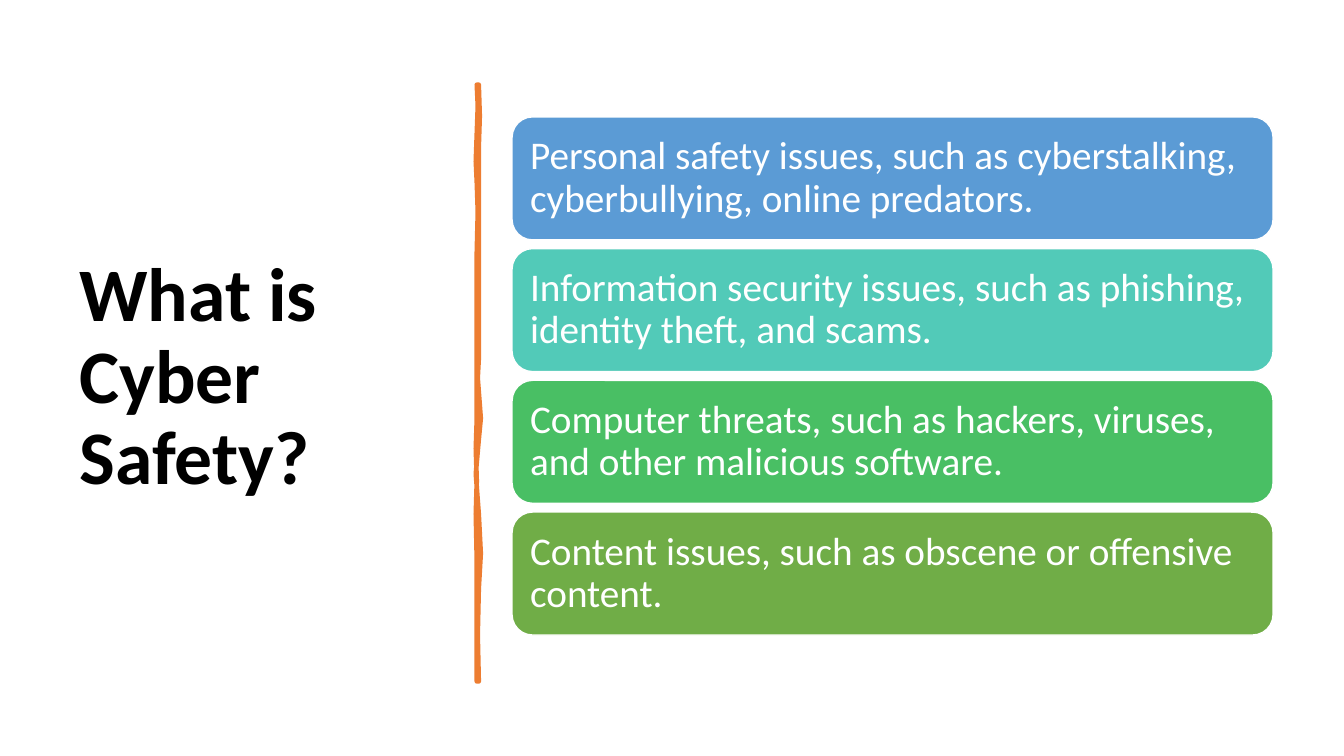
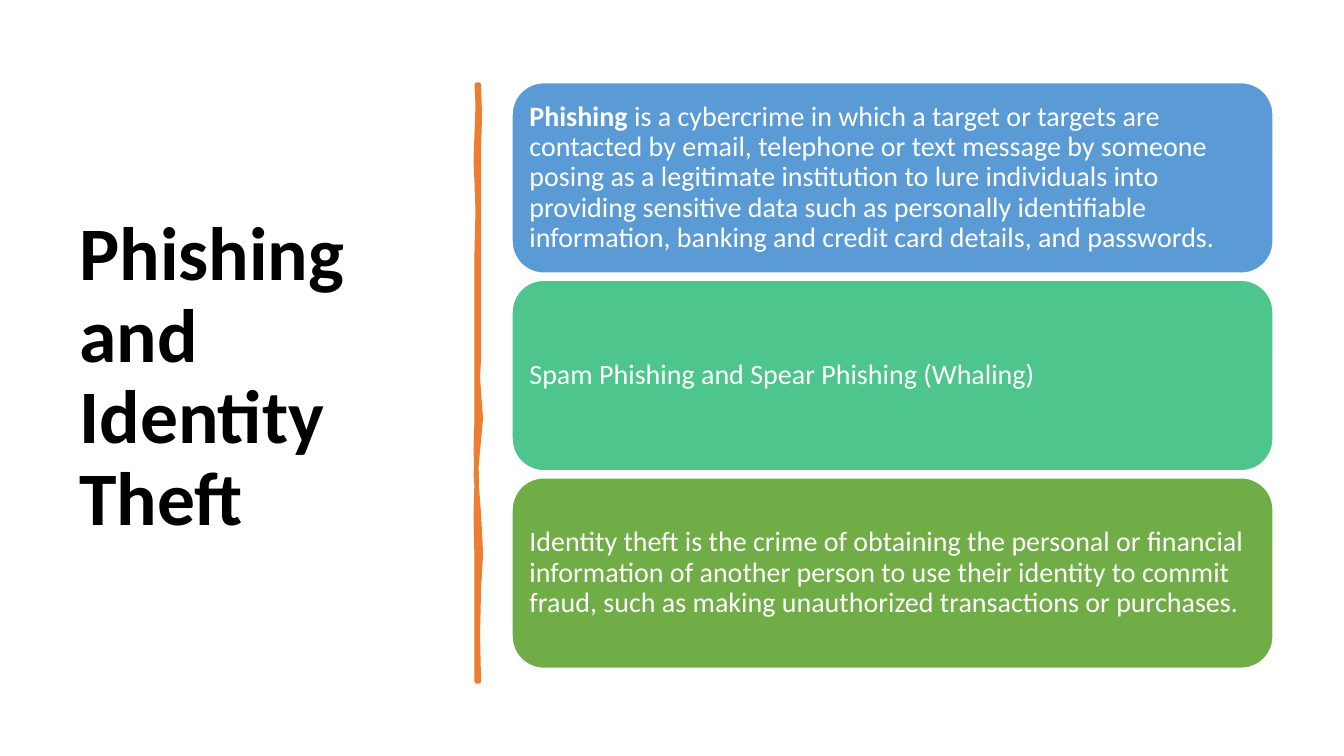
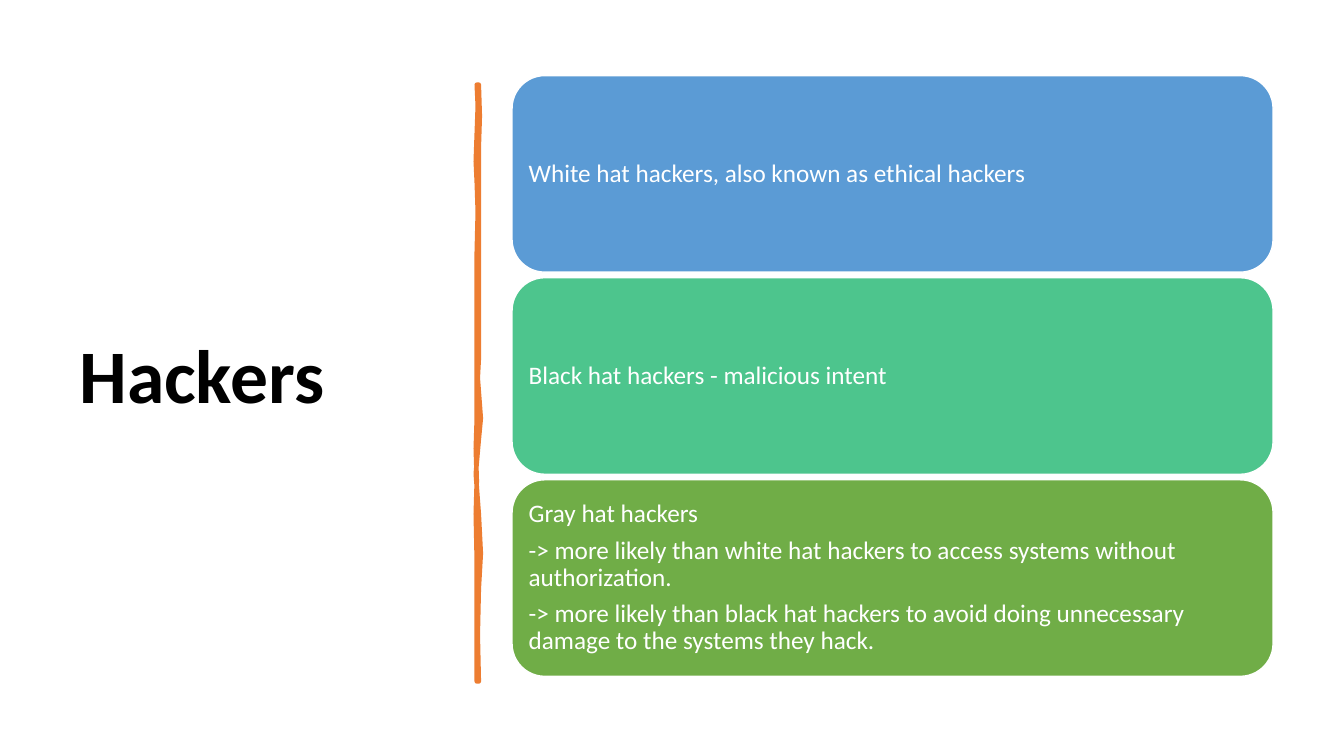
"""Build three cyber safety slides, each with a title, a divider and a stack of cards."""
from dataclasses import dataclass

from pptx import Presentation
from pptx import util as u
from pptx.dml.color import RGBColor
from pptx.enum import shapes, text

PX = 9144
FONT = "Calibri"
COLORS = {
    "title": "000000",
    "divider": "ED7D31",
    "white": "FFFFFF",
    "blue": "5B9BD5",
    "teal": "52CAB8",
    "green": "49BF64",
    "mint": "4DC58D",
    "olive": "70AD47",
}
CARD_LEFT, CARD_WIDTH = 508, 755
DIVIDER = [
    (475, 84), (476, 115), (475, 146), (475, 226), (475, 294), (475, 330),
    (475, 356), (474, 375), (477, 415), (475, 436), (472, 470), (475, 510),
    (477, 549), (475, 584), (474, 630), (475, 676),
    (473, 676), (473, 613), (473, 557), (472, 510), (473, 477), (472, 445),
    (473, 415), (473, 335), (473, 250), (474, 210), (473, 181), (472, 160),
    (474, 105), (473, 84),
]


@dataclass(frozen=True)
class Card:
    color: str
    paragraphs: tuple[str, ...]
    lead: str = ""


@dataclass(frozen=True)
class Page:
    title: str
    top: int
    bottom: int
    card_height: int
    inset: int
    size: int
    cards: tuple[Card, ...]


PAGES = (
    Page("What is Cyber Safety?", 116, 630, 122, 12, 28, (
        Card("blue", ("Personal safety issues, such as cyberstalking, cyberbullying, online predators.",)),
        Card("teal", ("Information security issues, such as phishing, identity theft, and scams.",)),
        Card("green", ("Computer threats, such as hackers, viruses, and other malicious software.",)),
        Card("olive", ("Content issues, such as obscene or offensive content.",)),
    )),
    Page("Phishing and Identity Theft", 82, 663, 189, 8, 20, (
        Card("blue", (
            " is a cybercrime in which a target or targets are contacted by email, telephone or text "
            "message by someone posing as a legitimate institution to lure individuals into providing "
            "sensitive data such as personally identifiable information, banking and credit card "
            "details, and passwords.",
        ), lead="Phishing"),
        Card("mint", ("Spam Phishing and Spear Phishing (Whaling)",)),
        Card("olive", (
            "Identity theft is the crime of obtaining the personal or financial information of another "
            "person to use their identity to commit fraud, such as making unauthorized transactions or "
            "purchases.",
        )),
    )),
    Page("Hackers", 75, 671, 195, 7, 18, (
        Card("blue", ("White hat hackers, also known as ethical hackers",)),
        Card("mint", ("Black hat hackers - malicious intent",)),
        Card("olive", (
            "Gray hat hackers",
            "-> more likely than white hat hackers to access systems without authorization.",
            "-> more likely than black hat hackers to avoid doing unnecessary damage to the systems they hack.",
        )),
    )),
)


def px(value: float) -> int:
    return round(value * PX)


def rgb(name: str) -> RGBColor:
    return RGBColor.from_string(COLORS[name])


def paint(sp, fill: str, line: str, width: float) -> None:
    sp.shadow.inherit = False
    sp.fill.solid()
    sp.fill.fore_color.rgb = rgb(fill)
    sp.line.color.rgb = rgb(line)
    sp.line.width = u.Pt(width)


def style(p, size: int, color: str) -> None:
    p.alignment = text.PP_ALIGN.LEFT
    p.line_spacing = 0.9
    p.font.name = FONT
    p.font.size = u.Pt(size)
    p.font.color.rgb = rgb(color)


def add_title(s, title: str) -> None:
    tf = s.shapes.add_textbox(px(69), px(70), px(374), px(611)).text_frame
    tf.word_wrap = True
    tf.vertical_anchor = text.MSO_ANCHOR.MIDDLE
    p = tf.paragraphs[0]
    p.text = title
    style(p, 54, "title")
    p.font.bold = True


def add_divider(s) -> None:
    builder = s.shapes.build_freeform(*DIVIDER[0], scale=PX)
    builder.add_line_segments(DIVIDER[1:], close=True)
    paint(builder.convert_to_shape(), "divider", "divider", 3.25)


def add_card(s, card: Card, top: float, page: Page) -> None:
    sp = s.shapes.add_shape(shapes.MSO_SHAPE.ROUNDED_RECTANGLE, px(CARD_LEFT), px(top),
                            px(CARD_WIDTH), px(page.card_height))
    paint(sp, card.color, "white", 1)
    tf = sp.text_frame
    tf.word_wrap = True
    tf.vertical_anchor = text.MSO_ANCHOR.MIDDLE
    tf.margin_left = tf.margin_right = tf.margin_top = tf.margin_bottom = px(page.inset)
    for i, line in enumerate(card.paragraphs):
        p = tf.add_paragraph() if i else tf.paragraphs[0]
        style(p, page.size, "white")
        if i:
            p.space_before = u.Pt(page.size * 0.35)
        elif card.lead:
            r = p.add_run()
            r.text = card.lead
            r.font.bold = True
        p.add_run().text = line


def add_page(prs, page: Page) -> None:
    s = prs.slides.add_slide(prs.slide_layouts[6])
    add_title(s, page.title)
    add_divider(s)
    pitch = (page.bottom - page.top - page.card_height) / (len(page.cards) - 1)
    for i, card in enumerate(page.cards):
        add_card(s, card, page.top + i * pitch, page)


def main() -> None:
    prs = Presentation()
    prs.slide_width, prs.slide_height = px(1333.33), px(750)
    for page in PAGES:
        add_page(prs, page)
    prs.save("out.pptx")


if __name__ == "__main__":
    main()
